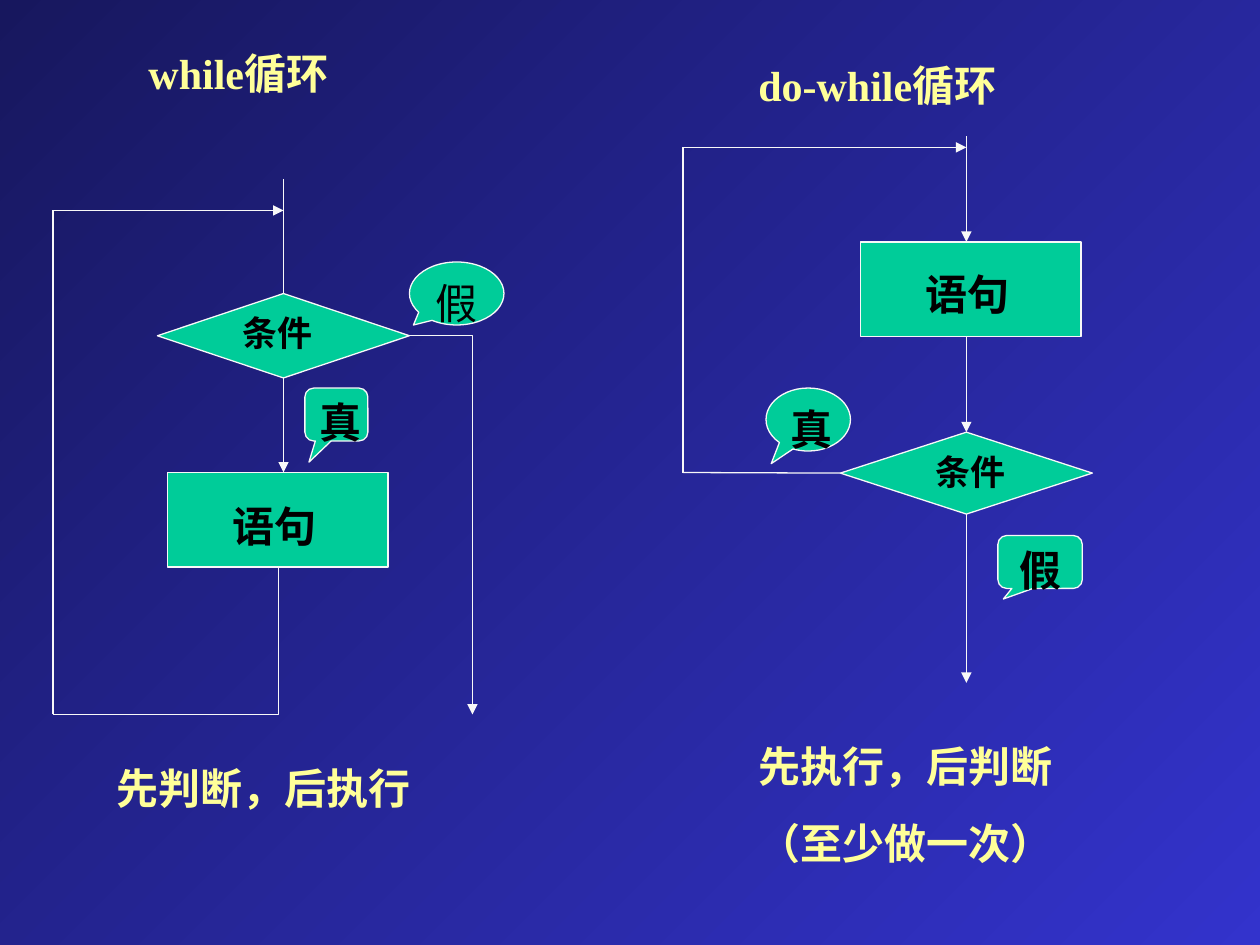
from lxml import etree
from pptx import Presentation
from pptx.dml.color import RGBColor
from pptx.enum.shapes import MSO_CONNECTOR as Connector, MSO_SHAPE as Shape
from pptx.enum.text import MSO_ANCHOR as Anchor, MSO_AUTO_SIZE as AutoSize, PP_ALIGN as Align
from pptx.oxml.ns import qn
from pptx.util import Inches, Pt

GREEN = RGBColor(0x00, 0xCC, 0x99)
WHITE = RGBColor(0xF8, 0xF8, 0xF8)
YELLOW = RGBColor(0xFF, 0xFF, 0x99)
BLACK = RGBColor(0, 0, 0)
BLUE = RGBColor(0x33, 0x33, 0xCC)
NAVY = RGBColor(0x17, 0x17, 0x5E)

TOP, LEFT, BOTTOM, RIGHT = range(4)


class Flowchart:
    font_format = {"name": "Times New Roman", "size": Pt(24), "bold": True, "color": BLACK}
    line_width = Pt(0.75)

    def __init__(self, page):
        self.page = page

    def background(self, start, end, angle):
        fill = self.page.background.fill
        fill.gradient()
        fill.gradient_angle = angle
        for stop, color in zip(fill.gradient_stops, (start, end)):
            stop.color.rgb = color

    def add_lines(self, box, lines, align=Align.LEFT, gap=0, **changes):
        frame = box.text_frame
        frame.word_wrap = True
        frame.vertical_anchor = Anchor.TOP
        for index, line in enumerate(lines):
            para = frame.add_paragraph() if index else frame.paragraphs[0]
            para.alignment = align
            if index:
                para.space_before = Pt(gap)
            span = para.add_run()
            span.text = line
            for name, value in {**self.font_format, **changes}.items():
                if name == "color":
                    span.font.color.rgb = value
                else:
                    setattr(span.font, name, value)

    def text(self, place, *lines, **changes):
        box = self.page.shapes.add_textbox(*map(Inches, place))
        self.add_lines(box, lines, gap=15, **changes)
        box.text_frame.auto_size = AutoSize.SHAPE_TO_FIT_TEXT

    def node(self, kind, place):
        node = self.page.shapes.add_shape(kind, *map(Inches, place))
        node.shadow.inherit = False
        node.fill.solid()
        node.fill.fore_color.rgb = GREEN
        node.line.color.rgb = WHITE
        node.line.width = self.line_width
        return node

    def callout(self, kind, place, tip, word, **changes):
        bubble = self.node(kind, place)
        for index, value in enumerate(tip):
            bubble.adjustments[index] = value
        self.add_lines(bubble, [word], Align.CENTER, **changes)

    def line(self, start, end, arrow=False, begin=None, finish=None, kind=Connector.STRAIGHT):
        """Draw a connector; begin and finish are (node, side) pairs to join."""
        line = self.page.shapes.add_connector(kind, *map(Inches, (*start, *end)))
        if begin:
            line.begin_connect(*begin)
        if finish:
            line.end_connect(*finish)
        line.line.color.rgb = WHITE
        line.line.width = self.line_width
        etree.SubElement(line._element.spPr, qn("a:effectLst"))
        if arrow:
            outline = line._element.spPr.find(qn("a:ln"))
            etree.SubElement(outline, qn("a:tailEnd"), type="triangle")
        return line

    def corner(self, start, end, begin, arrow=False, down_first=False):
        """Draw a connector with one right-angled bend."""
        line = self.line(start, end, arrow, begin, kind=Connector.ELBOW)
        properties = line._element.spPr
        properties.find(qn("a:prstGeom")).set("prst", "bentConnector2")
        if down_first:
            # A quarter turn swaps the sides of the frame around its centre.
            (x1, y1), (x2, y2) = start, end
            width, height = abs(y2 - y1), abs(x2 - x1)
            frame = properties.find(qn("a:xfrm"))
            frame.attrib.pop("flipH", None)
            frame.set("rot", str(90 * 60000))
            line.left = Inches((x1 + x2 - width) / 2)
            line.top = Inches((y1 + y2 - height) / 2)
            line.width, line.height = Inches(width), Inches(height)


def draw_while(chart):
    axis, back, out, floor = 2.25, 0.42, 3.75, 5.67
    condition = chart.node(Shape.FLOWCHART_DECISION, (1.25, 2.33, 2, 0.67))
    statement = chart.node(Shape.FLOWCHART_PROCESS, (1.33, 3.75, 1.75, 0.75))
    chart.line((axis, 1.42), (axis, 2.33), finish=(condition, TOP))
    chart.line((axis, 3), (axis, 3.75), arrow=True, begin=(condition, BOTTOM))
    chart.corner((3.25, 2.67), (out, floor), (condition, RIGHT), arrow=True)
    chart.corner((2.21, 4.5), (back, floor), (statement, BOTTOM), down_first=True)
    chart.line((back, floor), (back, 1.67))
    chart.line((back, 1.67), (axis, 1.67), arrow=True)
    chart.text((1.83, 2.42, 0.83, 0.44), "条件", size=Pt(20))
    chart.callout(Shape.OVAL_CALLOUT, (3.25, 2.08, 0.75, 0.5), (-0.458, 0.5), "假", bold=False)
    chart.callout(Shape.ROUNDED_RECTANGULAR_CALLOUT, (2.42, 3.08, 0.5, 0.42),
                  (-0.435, 0.9, 0.167), "真")
    chart.text((1.75, 3.92, 1, 0.5), "语句")
    chart.text((1.08, 0.33, 2.58, 0.5), "while循环", color=YELLOW)
    chart.text((0.83, 6, 2.92, 0.5), "先判断，后执行", color=YELLOW)


def draw_do_while(chart):
    axis, back, middle = 7.67, 5.42, 3.75
    chart.node(Shape.FLOWCHART_PROCESS, (6.83, 1.92, 1.75, 0.75))
    chart.text((7.25, 2.08, 1, 0.5), "语句")
    condition = chart.node(Shape.FLOWCHART_DECISION, (6.67, 3.43, 2, 0.65))
    chart.text((7.33, 3.53, 0.83, 0.44), "条件", size=Pt(20))
    chart.line((axis, 1.08), (axis, 1.92), arrow=True)
    chart.line((axis, 2.67), (axis, 3.43), arrow=True, finish=(condition, TOP))
    chart.line((6.67, middle), (back, middle), begin=(condition, LEFT))
    chart.line((back, middle), (back, 1.17))
    chart.line((back, 1.17), (axis, 1.17), arrow=True)
    chart.line((axis, 4.08), (axis, 5.42), arrow=True, begin=(condition, BOTTOM))
    chart.callout(Shape.OVAL_CALLOUT, (6.08, 3.08, 0.67, 0.5), (-0.438, 0.7), "真")
    chart.callout(Shape.ROUNDED_RECTANGULAR_CALLOUT, (7.92, 4.25, 0.67, 0.42),
                  (-0.435, 0.7, 0.167), "假")
    chart.text((5.92, 5.83, 2.92, 1.11), "先执行，后判断", "（至少做一次）", color=YELLOW)
    chart.text((5.92, 0.42, 2.58, 0.5), "do-while循环", color=YELLOW)


def main():
    deck = Presentation()
    deck.slide_width, deck.slide_height = Inches(10), Inches(7.5)
    chart = Flowchart(deck.slides.add_slide(deck.slide_layouts[6]))
    chart.background(BLUE, NAVY, angle=135)
    draw_while(chart)
    draw_do_while(chart)
    deck.save("out.pptx")


if __name__ == "__main__":
    main()
